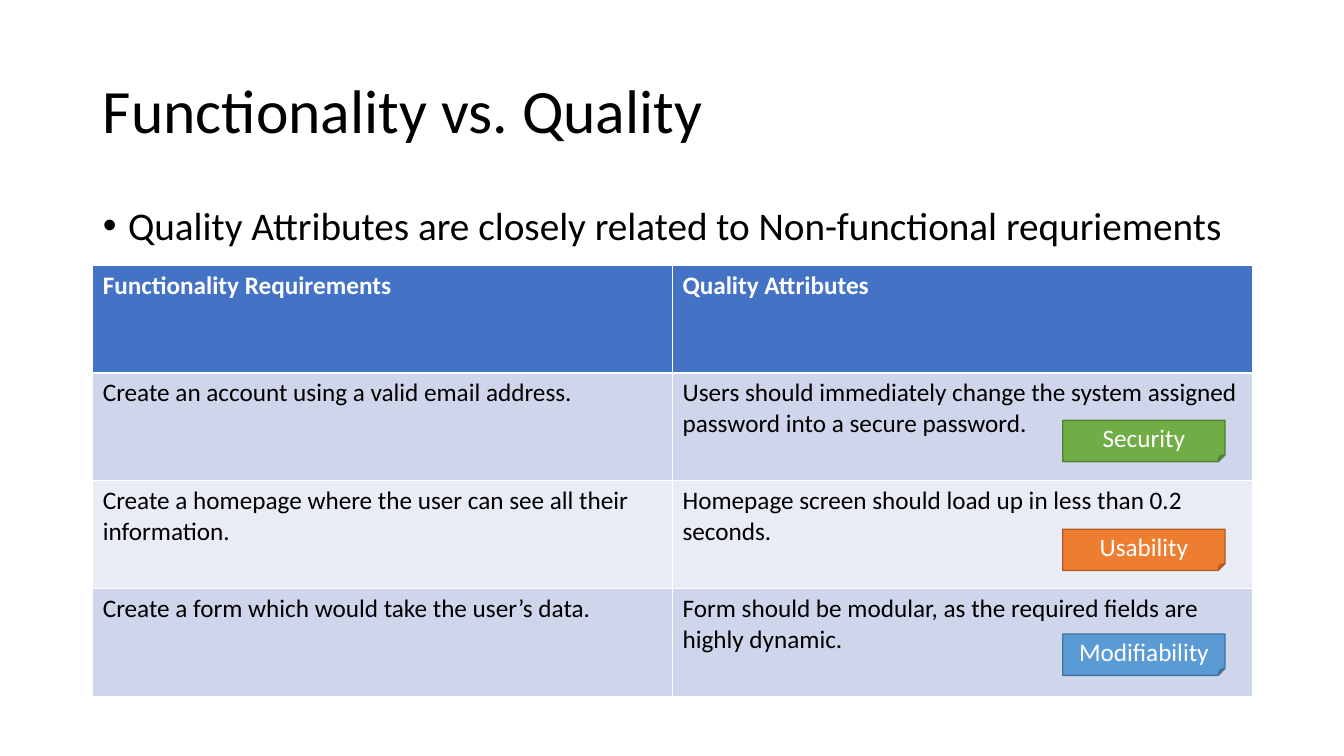
from lxml import etree
from pptx import Presentation
from pptx.dml.color import RGBColor
from pptx.enum import shapes, text
from pptx.oxml import ns
from pptx.util import Inches, Pt

TITLE = "Functionality vs. Quality"
POINT = "Quality Attributes are closely related to Non-functional requriements"
ROWS = [
    ("Functionality Requirements", "Quality Attributes"),
    ("Create an account using a valid email address.",
     "Users should immediately change the system assigned password into a secure password."),
    ("Create a homepage where the user can see all their information.",
     "Homepage screen should load up in less than 0.2 seconds."),
    ("Create a form which would take the user’s data.",
     "Form should be modular, as the required fields are highly dynamic."),
]
# label, top in inches, fill, line
TAGS = [
    ("Security", 4.17, "green", "moss"),
    ("Usability", 5.25, "orange", "rust"),
    ("Modifiability", 6.29, "sky", "steel"),
]
COLORS = {
    "black": "000000", "white": "FFFFFF", "head": "4472C4",
    "odd": "CFD5EA", "even": "E9EBF5",
    "green": "70AD47", "moss": "538035",
    "orange": "ED7D31", "rust": "AF5C24",
    "sky": "5B9BD5", "steel": "43739E",
}
LEFT, WIDTH = 0.92, 11.5
ROW = 1.07


def color(name):
    return RGBColor.from_string(COLORS[name])


def paint(shape, name):
    shape.fill.solid()
    shape.fill.fore_color.rgb = color(name)


def style(para, size, name, bold=False):
    font = para.font
    font.name, font.size, font.bold = "Calibri", Pt(size), bold
    font.color.rgb = color(name)


def place(shape, left, top, width, height):
    shape.left, shape.top = Inches(left), Inches(top)
    shape.width, shape.height = Inches(width), Inches(height)


def write(shape, words, size, anchor):
    """Fill a placeholder with one left-aligned paragraph."""
    frame = shape.text_frame
    frame.text = words
    frame.auto_size = text.MSO_AUTO_SIZE.NONE
    frame.vertical_anchor = anchor
    para = frame.paragraphs[0]
    para.alignment = text.PP_ALIGN.LEFT
    para.line_spacing = 0.9
    para.space_before = Pt(0)
    return para


def bullet(para):
    props = para._p.get_or_add_pPr()
    props.set("marL", str(Inches(0.25)))
    props.set("indent", str(Inches(-0.25)))
    etree.SubElement(props, ns.qn("a:buFont")).set("typeface", "Arial")
    etree.SubElement(props, ns.qn("a:buChar")).set("char", "•")


def add_grid(slide):
    grid = slide.shapes.add_table(
        len(ROWS), 2, Inches(LEFT), Inches(2.63),
        Inches(WIDTH), Inches(ROW * len(ROWS))).table
    for i, row in enumerate(ROWS):
        head = i == 0
        fill = "head" if head else "odd" if i % 2 else "even"
        for j, words in enumerate(row):
            cell = grid.cell(i, j)
            cell.text = words
            paint(cell, fill)
            style(cell.text_frame.paragraphs[0], 18,
                  "white" if head else "black", head)


def add_tag(slide, label, top, fill, line):
    tag = slide.shapes.add_shape(
        shapes.MSO_SHAPE.FOLDED_CORNER, Inches(10.54), Inches(top),
        Inches(1.61), Inches(0.41))
    tag.shadow.inherit = False
    paint(tag, fill)
    tag.line.color.rgb = color(line)
    tag.line.width = Pt(1)
    frame = tag.text_frame
    frame.text = label
    frame.word_wrap = True
    frame.vertical_anchor = text.MSO_ANCHOR.MIDDLE
    para = frame.paragraphs[0]
    para.alignment = text.PP_ALIGN.CENTER
    style(para, 18, "white")


def main():
    deck = Presentation()
    deck.slide_width, deck.slide_height = Inches(13.33), Inches(7.5)
    slide = deck.slides.add_slide(deck.slide_layouts[1])
    title, body = slide.placeholders

    place(title, LEFT, 0.4, WIDTH, 1.45)
    style(write(title, TITLE, 44, text.MSO_ANCHOR.MIDDLE), 44, "black")

    place(body, LEFT, 2, WIDTH, 4.76)
    para = write(body, POINT, 28, text.MSO_ANCHOR.TOP)
    bullet(para)
    style(para, 28, "black")

    add_grid(slide)
    for tag in TAGS:
        add_tag(slide, *tag)
    deck.save("out.pptx")


if __name__ == "__main__":
    main()
